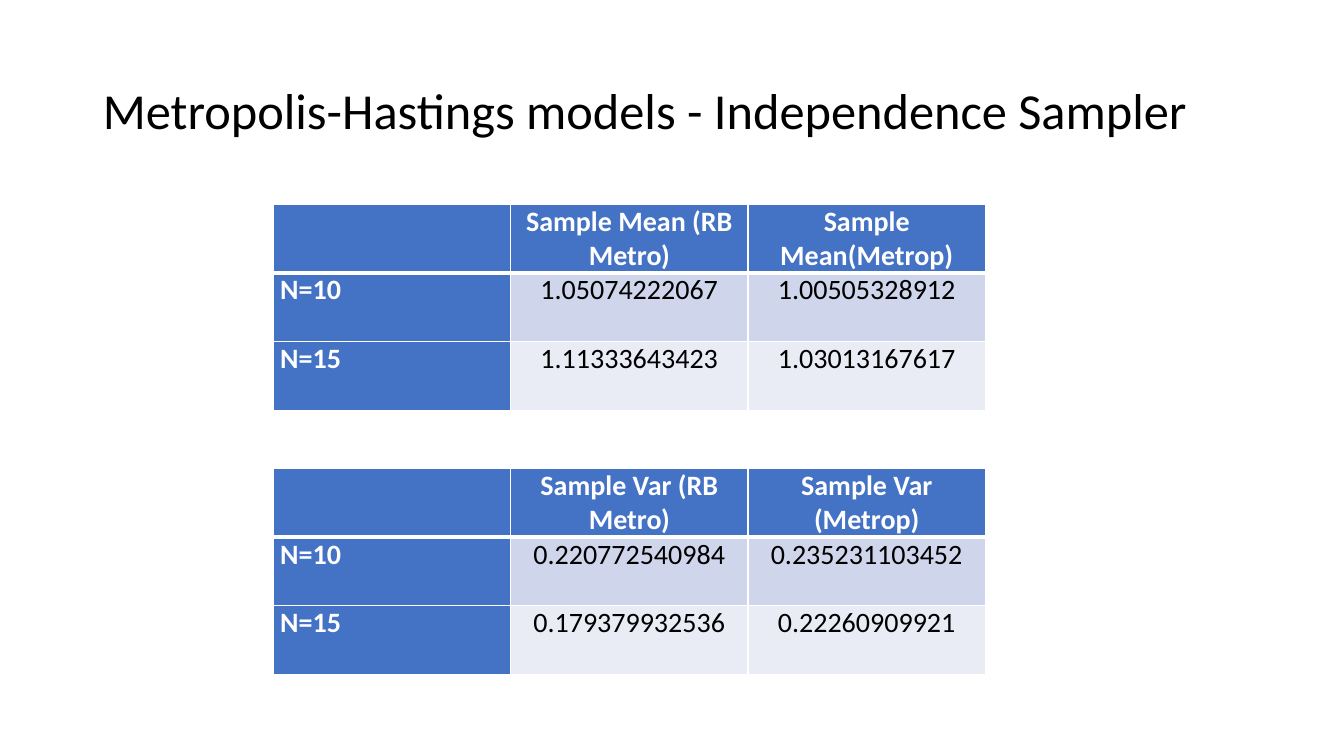
from lxml.etree import SubElement
from pptx import Presentation
from pptx.dml.color import RGBColor
from pptx.enum.text import MSO_ANCHOR, PP_ALIGN
from pptx.oxml.ns import qn
from pptx.util import Inches, Pt

TITLE = "Metropolis-Hastings models - Independence Sampler"
MEANS = [
    ("", "Sample Mean (RB Metro)", "Sample Mean(Metrop)"),
    ("N=10", "1.05074222067", "1.00505328912"),
    ("N=15", "1.11333643423", "1.03013167617"),
]
VARIANCES = [
    ("", "Sample Var (RB Metro)", "Sample Var (Metrop)"),
    ("N=10", "0.220772540984", "0.235231103452"),
    ("N=15", "0.179379932536", "0.22260909921"),
]

FONT = "Calibri"
BLACK = RGBColor(0x00, 0x00, 0x00)
WHITE = RGBColor(0xFF, 0xFF, 0xFF)
BLUE = RGBColor(0x44, 0x72, 0xC4)
BANDS = [RGBColor(0xE9, 0xEB, 0xF5), RGBColor(0xCF, 0xD5, 0xEA)]

SLIDE_W, SLIDE_H = Inches(13.33), Inches(7.5)
TABLE_LEFT = Inches(2.71)
TABLE_TOPS = [Inches(2.03), Inches(4.65)]
COLUMN_W, ROW_H = Inches(2.355), Inches(0.68)
SIDE_MARGIN = Inches(0.07)
THIN, THICK = Pt(1), Pt(3)


def write(frame, text, size=20, color=BLACK, bold=False, align=PP_ALIGN.LEFT, spacing=1.0):
    paragraph = frame.paragraphs[0]
    paragraph.alignment = align
    paragraph.line_spacing = spacing
    run = paragraph.add_run()
    run.text = text
    run.font.name = FONT
    run.font.size = Pt(size)
    run.font.bold = bold
    run.font.color.rgb = color


def add_borders(cell, row):
    """White cell edges, with a thick rule between the header and the body."""
    widths = {
        "a:lnL": THIN,
        "a:lnR": THIN,
        "a:lnT": THICK if row == 1 else THIN,
        "a:lnB": THICK if row == 0 else THIN,
    }
    properties = cell._tc.get_or_add_tcPr()
    for edge, width in widths.items():
        line = SubElement(properties, qn(edge), w=str(width))
        fill = SubElement(line, qn("a:solidFill"))
        SubElement(fill, qn("a:srgbClr"), val=str(WHITE))


def add_results(slide, results, top):
    columns = len(results[0])
    table = slide.shapes.add_table(
        len(results), columns, TABLE_LEFT, top, COLUMN_W * columns, ROW_H * len(results)
    ).table
    for row, values in enumerate(results):
        table.rows[row].height = ROW_H
        for column, value in enumerate(values):
            cell = table.cell(row, column)
            heading = row == 0 or column == 0
            cell.margin_left = cell.margin_right = SIDE_MARGIN
            cell.margin_top = cell.margin_bottom = 0
            add_borders(cell, row)
            cell.fill.solid()
            cell.fill.fore_color.rgb = BLUE if heading else BANDS[row % 2]
            if value:
                write(cell.text_frame, value, bold=heading,
                      color=WHITE if heading else BLACK,
                      align=PP_ALIGN.CENTER if column else PP_ALIGN.LEFT)


def main():
    deck = Presentation()
    deck.slide_width, deck.slide_height = SLIDE_W, SLIDE_H
    slide = deck.slides.add_slide(deck.slide_layouts[5])

    title = slide.shapes.title
    title.left, title.top = Inches(0.92), Inches(0.4)
    title.width, title.height = Inches(11.5), Inches(1.45)
    title.text_frame.vertical_anchor = MSO_ANCHOR.MIDDLE
    write(title.text_frame, TITLE, size=36, spacing=0.9)

    for results, top in zip((MEANS, VARIANCES), TABLE_TOPS):
        add_results(slide, results, top)
    deck.save("out.pptx")


if __name__ == "__main__":
    main()
